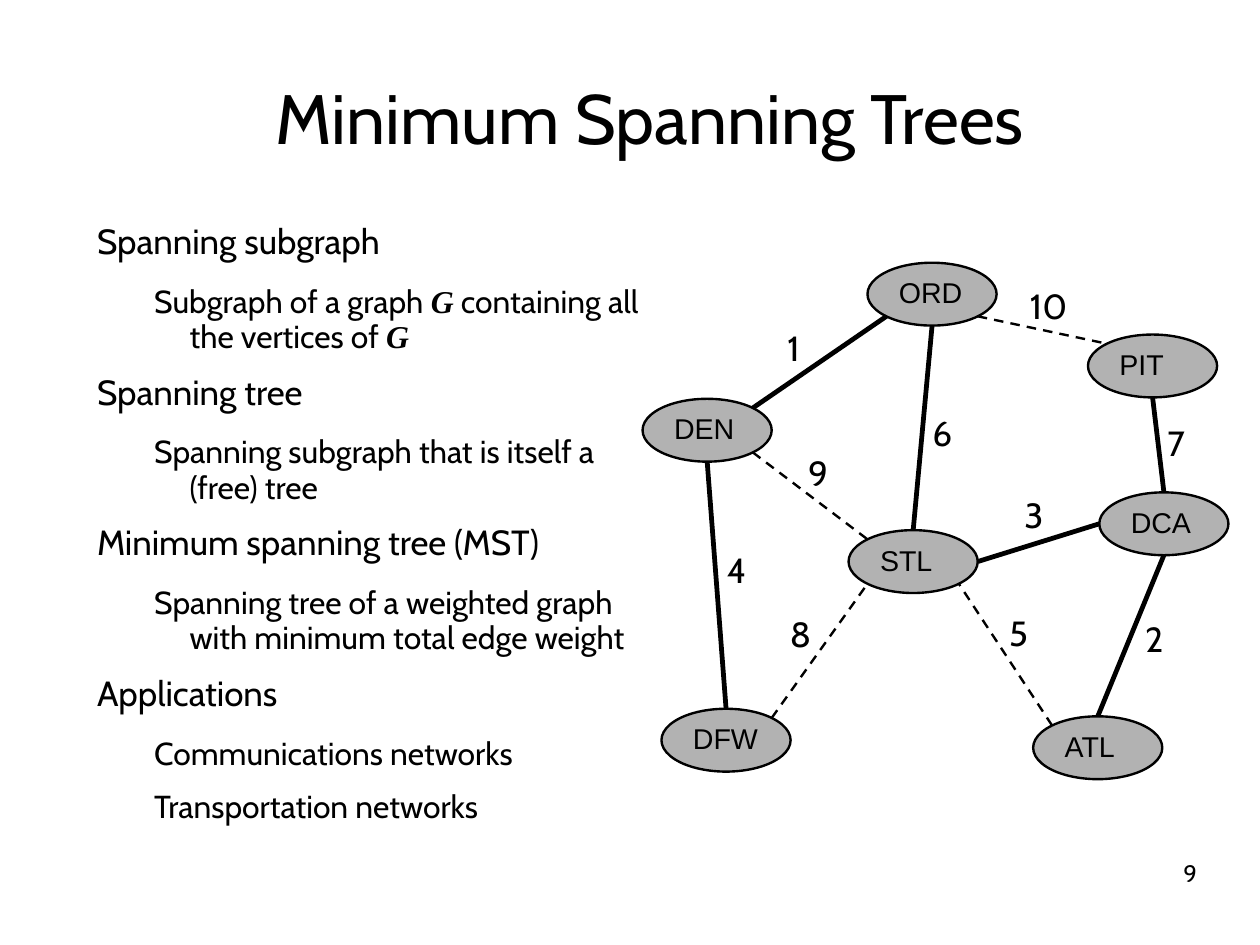
import dataclasses
import math

import pptx
import pptx.dml.color
import pptx.enum.dml
import pptx.enum.shapes
import pptx.enum.text
import pptx.oxml
import pptx.util

WIDTH = pptx.util.Cm(28)
HEIGHT = pptx.util.Cm(21)
COUNT = 100  # columns and rows of the grid

ALIGN = pptx.enum.text.PP_ALIGN
ANCHOR = pptx.enum.text.MSO_ANCHOR
FIT = pptx.enum.text.MSO_AUTO_SIZE
SHAPE = pptx.enum.shapes.MSO_SHAPE
LINK = pptx.enum.shapes.MSO_CONNECTOR
DASH = pptx.enum.dml.MSO_LINE


@dataclasses.dataclass(frozen=True)
class Theme:
    ink: str = "000000"
    node: str = "B2B2B2"
    font: str = "Cabin"
    code: str = "Arial"
    math: str = "Times New Roman"
    title: float = 44
    head: float = 22
    item: float = 20
    label: float = 18
    page: float = 15
    thin: float = 1.5
    thick: float = 3


THEME = Theme()

# Level, text; a variable stands between asterisks
POINTS = [
    (0, "Spanning subgraph"),
    (1, "Subgraph of a graph *G* containing all the vertices of *G*"),
    (0, "Spanning tree"),
    (1, "Spanning subgraph that is itself a (free) tree"),
    (0, "Minimum spanning tree (MST)"),
    (1, "Spanning tree of a weighted graph with minimum total edge weight"),
    (0, "Applications"),
    (1, "Communications networks"),
    (1, "Transportation networks"),
]
# Size, space after, left margin and first-line indent of each level
LEVELS = [
    (THEME.head, 14.2, 0.38, -0.38),
    (THEME.item, 11.4, 0.81, -0.31),
]

# Left column and top row of each airport
NODES = {
    "ORD": (68.85, 27.8),
    "PIT": (86.35, 35.4),
    "ATL": (82, 75.8),
    "STL": (67.35, 56.1),
    "DEN": (51, 42.2),
    "DFW": (52.5, 75),
    "DCA": (87.25, 52.1),
}
NODE = (10.25, 6.65)
SIDES = ("E", "SE", "S", "SW", "W", "NW", "N", "NE")

# Start, its side, end, its side, weight, weight's column and row, in the tree
EDGES = [
    ("DEN", "NE", "ORD", "SW", 1, 61.5, 34.2, True),
    ("STL", "N", "ORD", "S", 6, 73, 43.2, True),
    ("STL", "E", "DCA", "W", 3, 80.3, 51.9, True),
    ("DCA", "N", "PIT", "S", 7, 91.65, 44.25, True),
    ("ORD", "SE", "PIT", "NW", 10, 80.75, 29.75, False),
    ("DEN", "S", "DFW", "N", 4, 56.7, 57.7, True),
    ("DCA", "S", "ATL", "N", 2, 89.9, 65.05, True),
    ("ATL", "NW", "STL", "SE", 5, 79.1, 64.35, False),
    ("DFW", "NE", "STL", "SW", 8, 61.7, 64.45, False),
    ("DEN", "SE", "STL", "NW", 9, 63.15, 47.5, False),
]


def place(left, top, *size):
    """Turn columns and rows into lengths."""
    units = (WIDTH / COUNT, HEIGHT / COUNT) * 2
    return [round(n * u) for n, u in zip((left, top) + size, units)]


def color(code):
    return pptx.dml.color.RGBColor.from_string(code)


def write(para, text, size, font=THEME.font, align=ALIGN.LEFT, lead=0.93,
          after=0):
    """Fill a paragraph; parts between asterisks are set as variables."""
    para.alignment = align
    para.line_spacing = lead
    para.space_before = pptx.util.Pt(0)
    para.space_after = pptx.util.Pt(after)
    for i, part in enumerate(text.split("*")):
        if not part:
            continue
        run = para.add_run()
        run.text = part
        run.font.size = pptx.util.Pt(size)
        run.font.color.rgb = color(THEME.ink)
        run.font.name = THEME.math if i % 2 else font
        run.font.bold = run.font.italic = bool(i % 2)


def pad(frame, side=0, top=0, base=0):
    frame.margin_left = frame.margin_right = pptx.util.Inches(side)
    frame.margin_top = pptx.util.Inches(top)
    frame.margin_bottom = pptx.util.Inches(base)


def move(shape, *box):
    shape.left, shape.top, shape.width, shape.height = place(*box)


def add_title(slide, text):
    title = slide.shapes.title
    move(title, 6.65, 4.5, 89.9, 16.7)
    frame = title.text_frame
    pad(frame)
    frame.auto_size = FIT.NONE
    frame.vertical_anchor = ANCHOR.MIDDLE
    write(frame.paragraphs[0], text, THEME.title, align=ALIGN.CENTER)


def add_list(slide, points):
    body = slide.placeholders[1]
    move(body, 7.7, 23.3, 44.7, 68.9)
    frame = body.text_frame
    pad(frame, top=0.03)
    frame.auto_size = FIT.NONE
    frame.vertical_anchor = ANCHOR.TOP
    for i, (level, text) in enumerate(points):
        para = frame.add_paragraph() if i else frame.paragraphs[0]
        size, after, left, indent = LEVELS[level]
        para.level = level
        write(para, text, size, after=after)
        props = para._p.get_or_add_pPr()
        props.set("marL", str(pptx.util.Inches(left)))
        props.set("indent", str(pptx.util.Inches(indent)))
        props.append(pptx.oxml.parse_xml(
            "<a:buNone xmlns:a="
            "'http://schemas.openxmlformats.org/drawingml/2006/main'/>"))


def add_label(slide, text, box, size, inset=(0, 0, 0), wrap=False, **form):
    frame = slide.shapes.add_textbox(*place(*box)).text_frame
    pad(frame, *inset)
    frame.word_wrap = wrap
    write(frame.paragraphs[0], text, size, **form)


def add_node(slide, name, spot):
    node = slide.shapes.add_shape(SHAPE.OVAL, *place(*spot, *NODE))
    node.shadow.inherit = False
    node.fill.solid()
    node.fill.fore_color.rgb = color(THEME.node)
    node.line.color.rgb = color(THEME.ink)
    node.line.width = pptx.util.Pt(THEME.thin)
    frame = node.text_frame
    pad(frame, 0.11, 0.06, 0.06)
    frame.word_wrap = False
    frame.vertical_anchor = ANCHOR.MIDDLE
    write(frame.paragraphs[0], name, THEME.label, font=THEME.code)


def find_port(name, side):
    """Give the point on a node's rim that faces a compass side."""
    angle = SIDES.index(side) * math.pi / 4
    left, top = NODES[name]
    wide, high = NODE
    return place(left + wide / 2 * (1 + math.cos(angle)),
                 top + high / 2 * (1 + math.sin(angle)))


def add_edge(slide, start, end, solid):
    edge = slide.shapes.add_connector(LINK.STRAIGHT, *start, *end)
    edge.line.color.rgb = color(THEME.ink)
    edge.line.width = pptx.util.Pt(THEME.thick if solid else THEME.thin)
    if not solid:
        edge.line.dash_style = DASH.DASH
    edge._element.spPr.append(pptx.oxml.parse_xml(
        "<a:effectLst xmlns:a="
        "'http://schemas.openxmlformats.org/drawingml/2006/main'/>"))


def main():
    deck = pptx.Presentation()
    deck.slide_width, deck.slide_height = WIDTH, HEIGHT
    slide = deck.slides.add_slide(deck.slide_layouts[1])
    add_title(slide, "Minimum Spanning Trees")
    add_list(slide, POINTS)
    for name, spot in NODES.items():
        add_node(slide, name, spot)
    for start, out, end, into, weight, left, top, solid in EDGES:
        add_edge(slide, find_port(start, out), find_port(end, into), solid)
        text = str(weight)
        box = (left, top, 2 + 1.55 * len(text), 5.6)
        add_label(slide, text, box, THEME.head, inset=(0.11, 0.06, 0.06))
    add_label(slide, "9", (71.7, 91.1, 23.3, 6.9), THEME.page, wrap=True,
              align=ALIGN.RIGHT, lead=0.95)
    deck.save("out.pptx")


if __name__ == "__main__":
    main()
